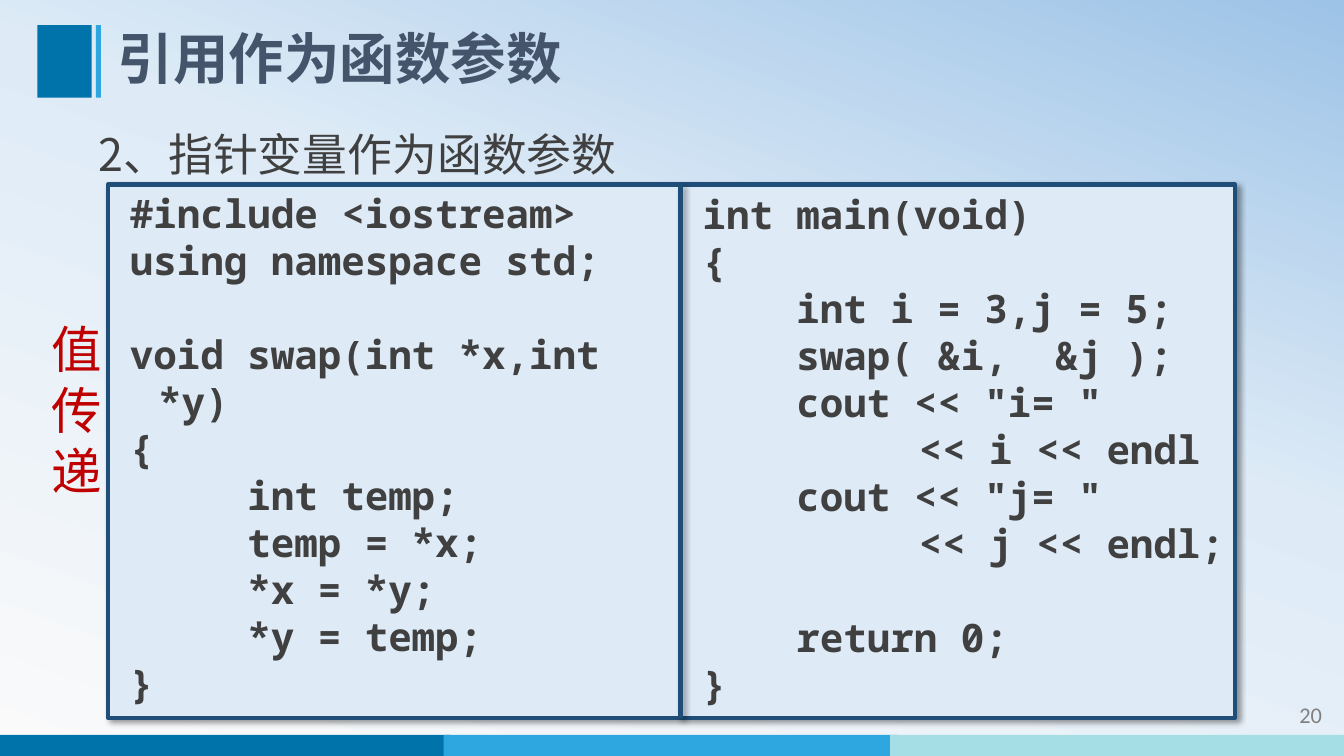
from copy import deepcopy
from dataclasses import dataclass

from lxml import etree
from pptx import Presentation
from pptx.dml.color import RGBColor
from pptx.enum import shapes, text
from pptx.oxml import ns
from pptx.util import Inches, Pt


@dataclass(frozen=True)
class Theme:
    sans: str = "Noto Sans CJK SC"
    mono: str = "Noto Sans Mono"
    num: str = "Calibri"
    title: str = "44546A"
    body: str = "404040"
    grey: str = "808080"
    red: str = "C00000"
    panel: str = "DEEBF7"
    edge: str = "1F4E79"
    bars: tuple = ("0073AB", "2EA7E0", "A5DEE4")
    back: tuple = ((0, "FAFAFA"), (0.58, "DEEBF7"), (1, "9DC3E6"))
    big: float = 39.6
    side: float = 36
    head: float = 32
    code: float = 28
    page: float = 16


T = Theme()

LEFT = """#include <iostream>
using namespace std;

void swap(int *x,int *y)
{
     int temp;
     temp = *x;
     *x = *y;
     *y = temp;
}"""

# \v marks a line break inside a paragraph
RIGHT = """int main(void)
{
    int i = 3,j = 5;
    swap( &i,  &j );
    cout << "i= "\v        << i << endl
    cout << "j= "\v        << j << endl;

    return 0;
}"""


def rgb(code):
    return RGBColor.from_string(code)


def style(para, face, size, color, bold=False):
    font = para.font
    font.name, font.size, font.bold = face, Pt(size), bold
    font.color.rgb = rgb(color)
    props = para._p.pPr.find(ns.qn("a:defRPr"))
    latin = props.find(ns.qn("a:latin"))
    east = etree.Element(ns.qn("a:ea"), typeface=face)
    latin.addnext(east)


def label(slide, box, words, face, size, color, bold=False, pitch=None):
    """Add a text box with one paragraph per line; pitch is in points."""
    frame = slide.shapes.add_textbox(*map(Inches, box)).text_frame
    frame.word_wrap = True
    frame.text = words
    for para in frame.paragraphs:
        if pitch:
            para.line_spacing = Pt(pitch)
        style(para, face, size, color, bold)
    return frame


def block(slide, box, fill):
    shape = slide.shapes.add_shape(
        shapes.MSO_SHAPE.RECTANGLE, *map(Inches, box))
    shape.shadow.inherit = False
    shape.fill.solid()
    shape.fill.fore_color.rgb = rgb(fill)
    shape.line.fill.background()
    return shape


def outline(shape):
    """Give a shape or connector the dark edge and its soft shadow."""
    shape.line.color.rgb = rgb(T.edge)
    shape.line.width = Pt(3)
    props = shape._element.spPr
    for old in props.findall(ns.qn("a:effectLst")):
        props.remove(old)
    effect = etree.SubElement(props, ns.qn("a:effectLst"))
    shade = etree.SubElement(
        effect, ns.qn("a:outerShdw"), blurRad=str(Pt(4)), dist=str(Pt(3)),
        dir=str(45 * 60000), algn="tl", rotWithShape="0")
    color = etree.SubElement(shade, ns.qn("a:srgbClr"), val="000000")
    etree.SubElement(color, ns.qn("a:alpha"), val="40000")


def backdrop(slide):
    fill = slide.background.fill
    fill.gradient()
    fill.gradient_angle = 70
    stops = next(slide._element.iter(ns.qn("a:gsLst")))
    stops.append(deepcopy(stops[0]))
    for stop, (place, color) in zip(fill.gradient_stops, T.back):
        stop.position = place
        stop.color.rgb = rgb(color)


def footer(slide, box):
    x, y, w, h = box
    for left, fill in zip((x, x + 4.43, x + 8.86), T.bars):
        block(slide, (left, y, w, h), fill)
    frame = label(slide, (11.62, y - 0.38, 1.59, 0.4), "20",
                  T.num, T.page, T.grey)
    frame.paragraphs[0].alignment = text.PP_ALIGN.RIGHT


def header(slide, box):
    x, y, w, h = box
    block(slide, (x, y, 0.54, h), T.bars[0])
    block(slide, (x + 0.58, y, 0.05, h), T.bars[1])
    title = slide.shapes.title
    title.left, title.top, title.width, title.height = map(
        Inches, (x + 0.7, y, w - 0.7, h))
    frame = title.text_frame
    frame.text = "引用作为函数参数"
    frame.vertical_anchor = text.MSO_ANCHOR.MIDDLE
    para = frame.paragraphs[0]
    para.alignment = text.PP_ALIGN.LEFT
    para.line_spacing = 0.9
    style(para, T.sans, T.big, T.title, True)


def listing(slide, box, code):
    frame = label(slide, box, code, T.mono, T.code, T.body, True, 33.6)
    frame.margin_right = 0
    for para in frame.paragraphs:
        props = para._p.get_or_add_pPr()
        props.set("marL", str(Inches(0.4)))
        props.set("indent", str(Inches(-0.28)))


def panel(slide, box):
    """Draw the framed pair of code listings."""
    x, y, w, h = box
    mid = x + 5.68
    outline(block(slide, box, T.panel))
    listing(slide, (x, y, 5.45, h), LEFT)
    listing(slide, (mid, y + 0.01, x + w - mid, h), RIGHT)
    line = slide.shapes.add_connector(
        shapes.MSO_CONNECTOR.STRAIGHT,
        *map(Inches, (mid, y, mid, y + h)))
    outline(line)


def main():
    deck = Presentation()
    deck.slide_width, deck.slide_height = Inches(13.33), Inches(7.5)
    slide = deck.slides.add_slide(deck.slide_layouts[5])
    backdrop(slide)
    footer(slide, (-0.03, 7.29, 4.5, 0.21))
    header(slide, (0.37, 0.25, 11.56, 0.72))
    label(slide, (0.88, 1.21, 11.13, 0.62), "2、指针变量作为函数参数",
          T.sans, T.head, T.body, pitch=38.5)
    panel(slide, (1.07, 1.83, 11.18, 5.29))
    label(slide, (0.41, 3.1, 0.55, 1.92), "值\n传\n递",
          T.sans, T.side, T.red, pitch=43.6)
    deck.save("out.pptx")


if __name__ == "__main__":
    main()
